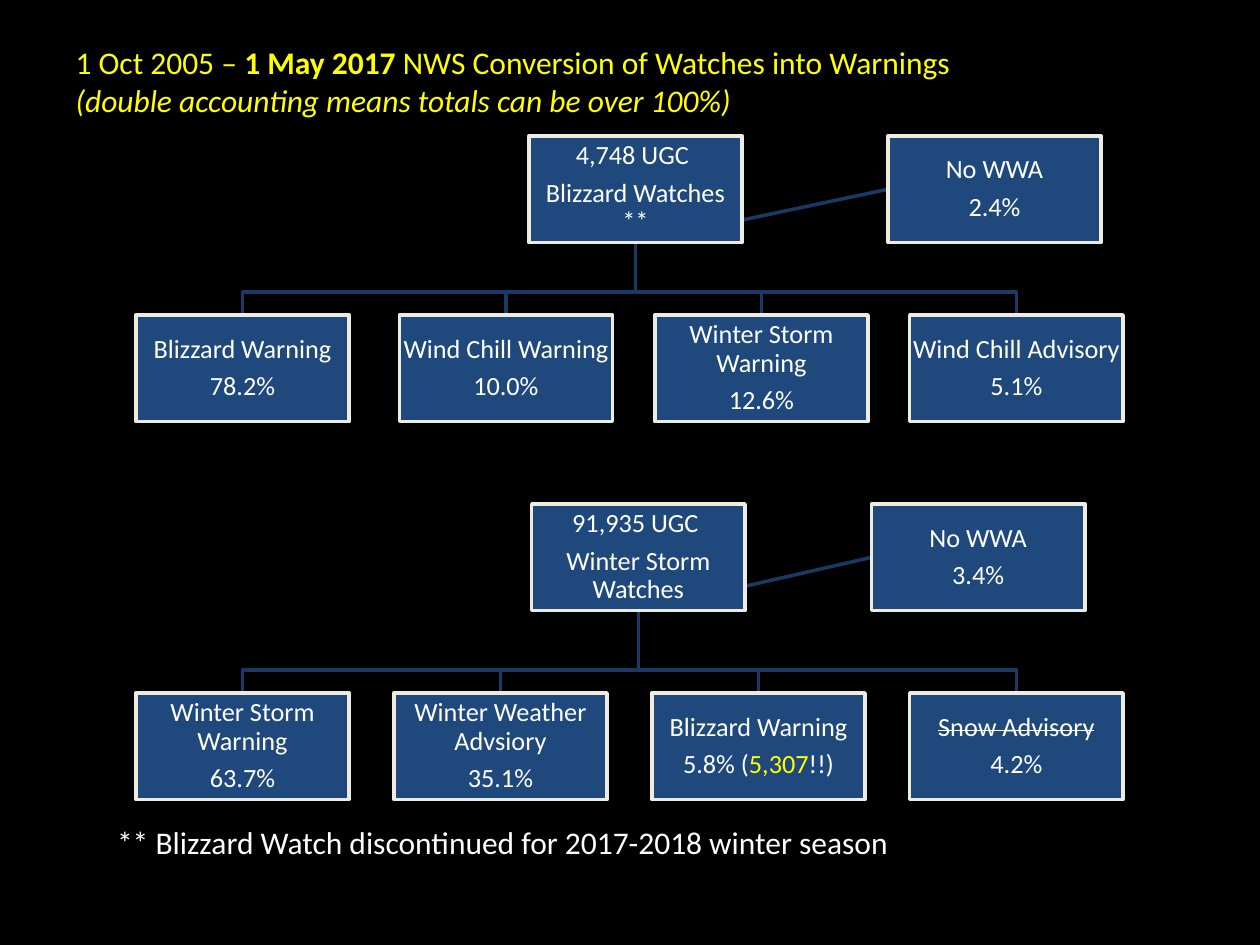
from lxml import etree
from pptx import Presentation
from pptx import util as u
from pptx.dml.color import RGBColor
from pptx.enum import shapes, text
from pptx.oxml.ns import qn

BLACK = RGBColor(0x00, 0x00, 0x00)
WHITE = RGBColor(0xFF, 0xFF, 0xFF)
YELLOW = RGBColor(0xFF, 0xFF, 0x00)
NAVY = RGBColor(0x1F, 0x49, 0x7D)
CREAM = RGBColor(0xEE, 0xEC, 0xE1)
LINK_BLUE = RGBColor(0x19, 0x3A, 0x64)

FONT = "Calibri"
CARD_WIDTH, CARD_HEIGHT = u.Cm(4.3), u.Cm(2.15)
BRANCH_RISE = u.Cm(0.46)
LINE_WIDTH = u.Pt(2)

BLIZZARD = {
    "root": (7.92, ["4,748 UGC ", "Blizzard Watches **"]),
    "none": (15.16, ["No WWA", "2.4%"]),
    "row": 3.61,
    "outcomes": [
        (0, ["Blizzard Warning", "78.2%"]),
        (5.31, ["Wind Chill Warning", "10.0%"]),
        (10.46, ["Winter Storm Warning", "12.6%"]),
        (15.6, ["Wind Chill Advisory", "5.1%"]),
    ],
}
WINTER_STORM = {
    "root": (7.98, ["91,935 UGC ", "Winter Storm Watches"]),
    "none": (14.83, ["No WWA", "3.4%"]),
    "row": 3.81,
    "outcomes": [
        (5.2 * column, lines) for column, lines in enumerate([
            ["Winter Storm Warning", "63.7%"],
            ["Winter Weather Advsiory", "35.1%"],
            ["Blizzard Warning", [("5.8% (", {}), ("5,307", {"color": YELLOW}), ("!!)", {})]],
            [[("Snow Advisory", {"strike": True})], "4.2%"],
        ])
    ],
}


def fill_text(frame, lines, size, color, align):
    """Write lines, each a string or a list of (words, style) spans."""
    for index, line in enumerate(lines):
        para = frame.add_paragraph() if index else frame.paragraphs[0]
        para.alignment = align
        para.font.name, para.font.size = FONT, u.Pt(size)
        para.font.color.rgb = color
        for words, style in [(line, {})] if isinstance(line, str) else line:
            span = para.add_run()
            span.text = words
            span.font.bold = style.get("bold")
            span.font.italic = style.get("italic")
            if "color" in style:
                span.font.color.rgb = style["color"]
            if "strike" in style:
                span._r.get_or_add_rPr().set("strike", "sngStrike")


def add_card(group, left, top, lines):
    """Add one bordered card with centred text."""
    card = group.shapes.add_shape(
        shapes.MSO_SHAPE.RECTANGLE, left, top, CARD_WIDTH, CARD_HEIGHT)
    card.shadow.inherit = False
    card.fill.solid()
    card.fill.fore_color.rgb = NAVY
    card.line.color.rgb, card.line.width = CREAM, LINE_WIDTH
    frame = card.text_frame
    frame.word_wrap = True
    frame.vertical_anchor = text.MSO_ANCHOR.MIDDLE
    frame.margin_left = frame.margin_right = u.Cm(0.03)
    frame.margin_top = frame.margin_bottom = u.Cm(0.03)
    fill_text(frame, lines, 15, WHITE, text.PP_ALIGN.CENTER)
    for para in frame.paragraphs:
        para.line_spacing = 0.9
        para.space_after = u.Pt(5.25)


def add_branch(group, start, end):
    """Add an elbow line from the root's foot to an outcome's head."""
    (x1, y1), (x2, y2) = start, end
    bend = y2 - BRANCH_RISE
    builder = group.shapes.build_freeform(x1, y1)
    builder.add_line_segments([(x1, bend), (x2, bend), (x2, y2)], close=False)
    branch = builder.convert_to_shape()
    branch.shadow.inherit = False
    branch.fill.background()
    branch.line.color.rgb, branch.line.width = LINK_BLUE, LINE_WIDTH


def add_side_link(group, start, end):
    """Add the straight line that leads to the No WWA card."""
    link = group.shapes.add_connector(shapes.MSO_CONNECTOR.STRAIGHT, *start, *end)
    link.line.color.rgb, link.line.width = LINK_BLUE, LINE_WIDTH
    etree.SubElement(link._element.spPr, qn("a:effectLst"))


def add_watch_chart(page, left, top, watch):
    """Add the tree of outcomes for one kind of watch."""
    group = page.shapes.add_group_shape()
    root_left, none_left = (left + u.Cm(watch[key][0]) for key in ("root", "none"))
    row_top = top + u.Cm(watch["row"])
    foot = (root_left + CARD_WIDTH // 2, top + CARD_HEIGHT)
    add_side_link(group, foot, (none_left, top + CARD_HEIGHT // 2))
    for offset, _ in watch["outcomes"]:
        add_branch(group, foot, (left + u.Cm(offset) + CARD_WIDTH // 2, row_top))
    add_card(group, root_left, top, watch["root"][1])
    add_card(group, none_left, top, watch["none"][1])
    for offset, lines in watch["outcomes"]:
        add_card(group, left + u.Cm(offset), row_top, lines)


def place_title(page, left, top, width, height):
    """Move and format the title placeholder."""
    title = page.shapes.title
    title.left, title.top, title.width, title.height = left, top, width, height
    frame = title.text_frame
    frame.word_wrap = False
    frame.auto_size = text.MSO_AUTO_SIZE.NONE
    frame.vertical_anchor = text.MSO_ANCHOR.TOP
    fill_text(frame, [
        [("1 Oct 2005 – ", {}), ("1 May 2017 ", {"bold": True}),
         ("NWS Conversion of Watches into Warnings", {})],
        [("(double accounting means totals can be over 100%)", {"italic": True})],
    ], 18, YELLOW, text.PP_ALIGN.LEFT)


def add_footnote(page, left, top, width, height):
    """Add the note under the charts."""
    box = page.shapes.add_textbox(left, top, width, height)
    box.text_frame.word_wrap = False
    fill_text(box.text_frame,
              ["** Blizzard Watch discontinued for 2017-2018 winter season"],
              18, WHITE, text.PP_ALIGN.LEFT)


def main():
    """Build the deck and save it."""
    deck = Presentation()
    deck.slide_width, deck.slide_height = u.Cm(25.4), u.Cm(19.05)
    page = deck.slides.add_slide(deck.slide_layouts.get_by_name("Title Only"))
    page.background.fill.solid()
    page.background.fill.fore_color.rgb = BLACK
    place_title(page, u.Cm(1.27), u.Cm(0.74), u.Cm(18.64), u.Cm(1.8))
    add_watch_chart(page, u.Cm(2.74), u.Cm(2.74), BLIZZARD)
    add_watch_chart(page, u.Cm(2.74), u.Cm(10.16), WINTER_STORM)
    add_footnote(page, u.Cm(2.11), u.Cm(16.46), u.Cm(16.26), u.Cm(1.02))
    deck.save("out.pptx")


if __name__ == "__main__":
    main()
